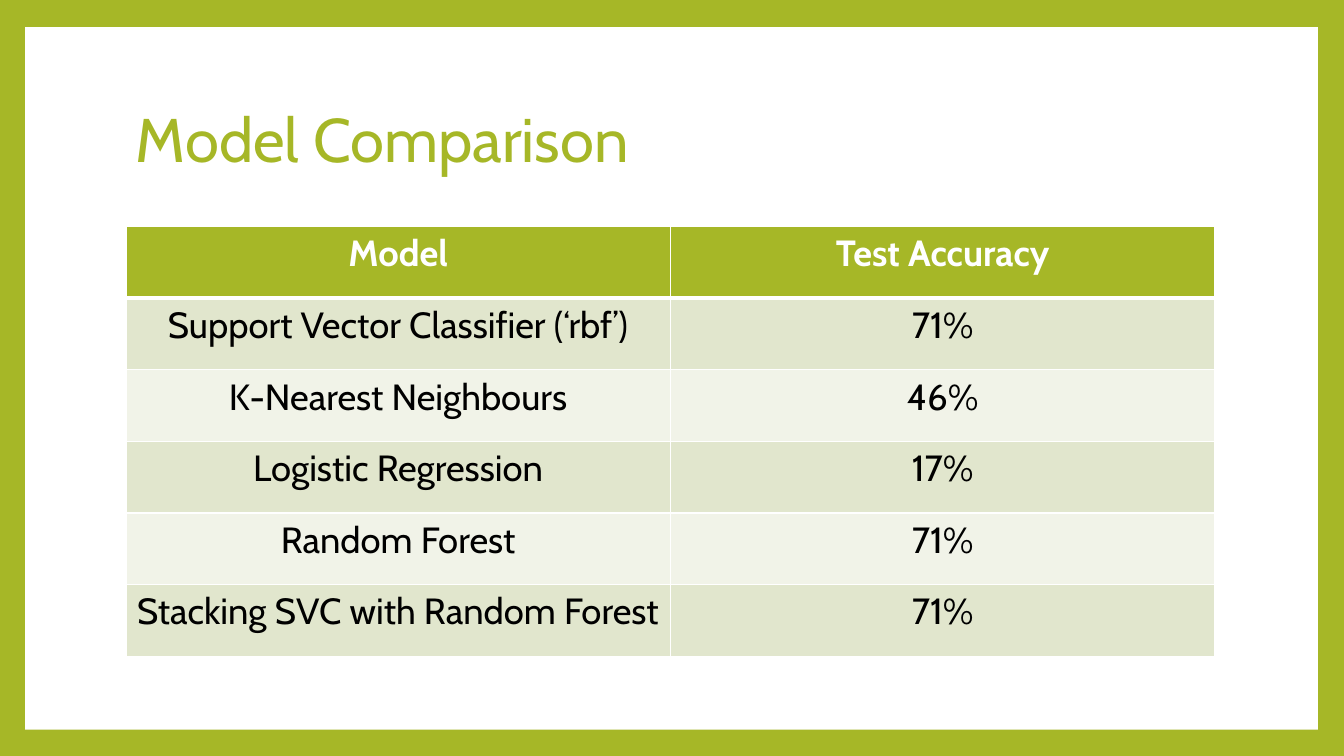
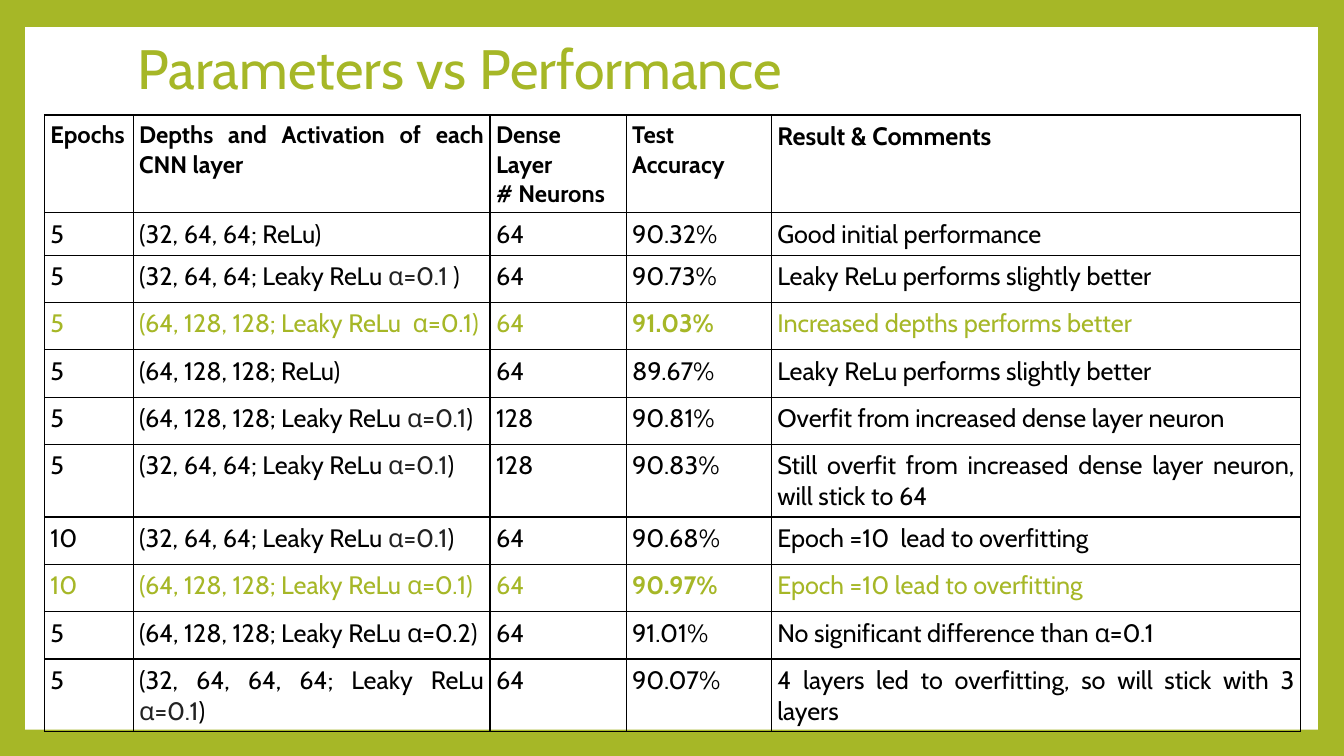
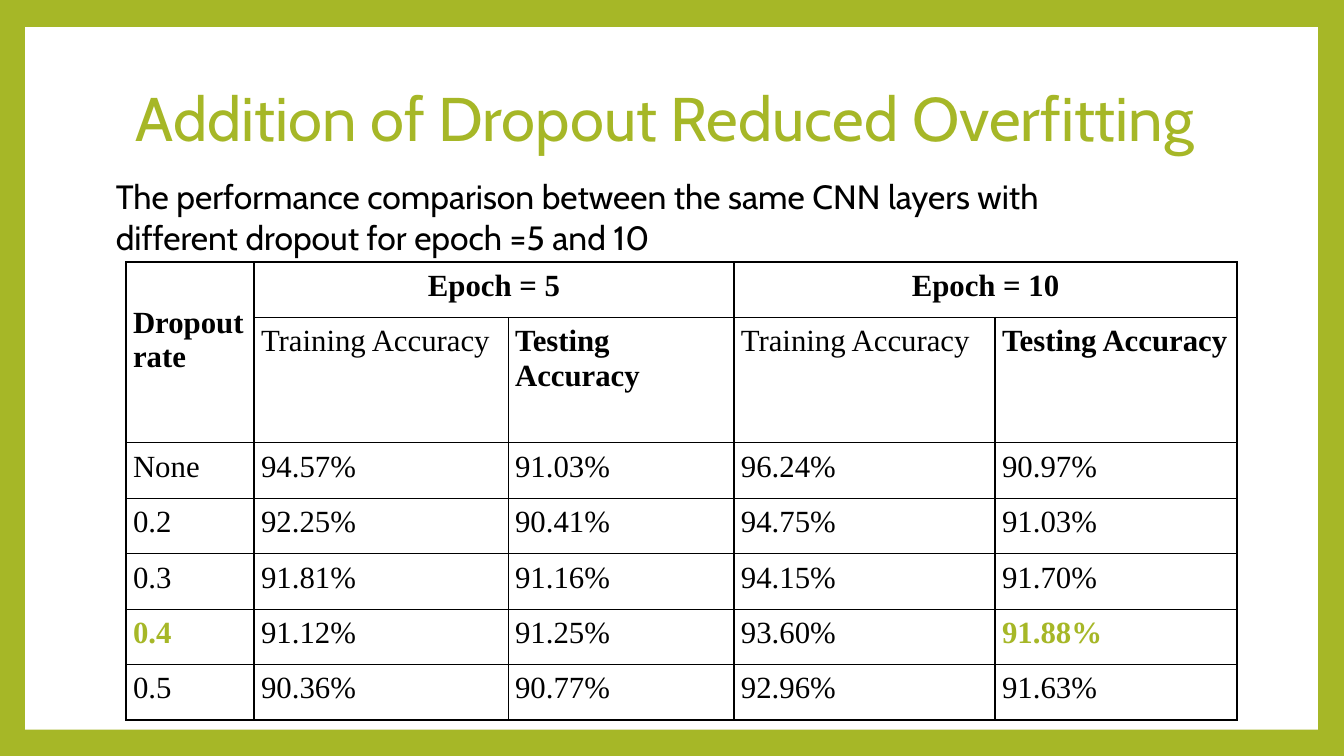
from dataclasses import dataclass

from lxml.etree import SubElement
from pptx import Presentation
from pptx.dml.color import RGBColor as Color
from pptx.enum.shapes import MSO_SHAPE as Shape
from pptx.enum.text import MSO_ANCHOR as Anchor, MSO_AUTO_SIZE as AutoSize, PP_ALIGN as Align
from pptx.oxml.ns import qn
from pptx.util import Inches, Pt


@dataclass(frozen=True)
class Theme:
    """Colours, fonts and type sizes of the presentation."""
    green: str = "A6B727"
    white: str = "FFFFFF"
    black: str = "000000"
    charcoal: str = "222222"
    band_dark: str = "E1E6CD"
    band_light: str = "F1F3E8"
    sans: str = "Cabin"
    serif: str = "Times New Roman"
    title: float = 44
    title_small: float = 39.6
    model: float = 26
    intro: float = 24
    dropout: float = 22
    parameter: float = 18
    parameter_header: float = 17


theme = Theme()


def write_text(frame, text, size, color=theme.black, font=theme.sans, bold=False,
               align=Align.LEFT, spacing=None, marked=theme.charcoal):
    """Write one paragraph per line; parts between bars get the marked colour."""
    frame.word_wrap = True
    for line_number, line in enumerate(text.split("\n")):
        paragraph = frame.paragraphs[0] if line_number == 0 else frame.add_paragraph()
        paragraph.alignment = align
        if spacing:
            paragraph.line_spacing = spacing
        for part_number, part in enumerate(line.split("|")):
            run = paragraph.add_run()
            run.text = part
            run.font.size = Pt(size)
            run.font.name = font
            run.font.bold = bold
            run.font.color.rgb = Color.from_string(marked if part_number % 2 else color)


def add_grid(slide, left, top, widths, heights, border, margin=None, header_line=1):
    """Add an unfilled table with ruled cells and return it."""
    table = slide.shapes.add_table(
        len(heights), len(widths), Inches(left), Inches(top),
        Inches(sum(widths)), Inches(sum(heights))).table
    table.first_row = table.horz_banding = False
    for column, width in zip(table.columns, widths):
        column.width = Inches(width)
    for row_number, (row, height) in enumerate(zip(table.rows, heights)):
        row.height = Inches(height)
        for cell in row.cells:
            if margin:
                cell.margin_left = cell.margin_right = Inches(margin)
                cell.margin_top = cell.margin_bottom = Inches(margin)
            properties = cell._tc.get_or_add_tcPr()
            for side in ("lnL", "lnR", "lnT", "lnB"):
                under_header = (row_number, side) in ((0, "lnB"), (1, "lnT"))
                weight = header_line if under_header else 1
                line = SubElement(properties, qn(f"a:{side}"), w=str(Pt(weight)))
                fill = SubElement(line, qn("a:solidFill"))
                SubElement(fill, qn("a:srgbClr"), val=border)
            cell.fill.background()
    return table


presentation = Presentation()
presentation.slide_width = Inches(13.33)
presentation.slide_height = Inches(7.5)

# Shared frame and titles
titles = [
    ("Model Comparison", (1.25, 0.67, 10.8, 1.48), theme.title),
    ("Parameters vs Performance", (1.27, 0.44, 10.8, 0.54), theme.title_small),
    ("Addition of Dropout Reduced Overfitting", (1.25, 0.47, 11.03, 1.48), theme.title),
]
slides = []
for title, bounds, size in titles:
    slide = presentation.slides.add_slide(presentation.slide_layouts[6])
    slide.background.fill.solid()
    slide.background.fill.fore_color.rgb = Color.from_string(theme.green)
    panel = slide.shapes.add_shape(
        Shape.RECTANGLE, Inches(0.25), Inches(0.27), Inches(12.82), Inches(6.97))
    panel.shadow.inherit = False
    panel.fill.solid()
    panel.fill.fore_color.rgb = Color.from_string(theme.white)
    panel.line.fill.background()
    title_box = slide.shapes.add_textbox(*(Inches(length) for length in bounds))
    title_box.text_frame.vertical_anchor = Anchor.MIDDLE
    write_text(title_box.text_frame, title, size, color=theme.green, spacing=0.9)
    slides.append(slide)
comparison_slide, parameter_slide, dropout_slide = slides

# Model comparison
models = [
    ("Model", "Test Accuracy"),
    ("Support Vector Classifier (‘rbf’)", "71%"),
    ("K-Nearest Neighbours", "46%"),
    ("Logistic Regression", "17%"),
    ("Random Forest", "71%"),
    ("Stacking SVC with Random Forest", "71%"),
]
table = add_grid(comparison_slide, 1.25, 2.25, [5.4] * 2, [0.71] * len(models),
                 theme.white, header_line=3)
for row_number, texts in enumerate(models):
    header = row_number == 0
    band = theme.band_dark if row_number % 2 else theme.band_light
    for column_number, text in enumerate(texts):
        cell = table.cell(row_number, column_number)
        cell.fill.solid()
        cell.fill.fore_color.rgb = Color.from_string(theme.green if header else band)
        write_text(cell.text_frame, text, theme.model, bold=header, align=Align.CENTER,
                   color=theme.white if header else theme.black)

# Parameters and performance
trials = [
    ("Epochs", "Depths and Activation of each CNN layer", "Dense Layer\n# Neurons",
     "Test Accuracy", "Result & Comments"),
    ("5", "(32, 64, 64; ReLu)", "64", "90.32%", "Good initial performance"),
    ("5", "(32, 64, 64; Leaky ReLu |α=0.1| )", "64", "90.73%",
     "Leaky ReLu performs slightly better"),
    ("5", "(64, 128, 128; Leaky ReLu\u00a0 α=0.1)", "64", "91.03%",
     "Increased depths performs better"),
    ("5", "(64, 128, 128; ReLu)", "64", "89.67%", "Leaky ReLu performs slightly better"),
    ("5", "(64, 128, 128; Leaky ReLu |α=0.1|)", "128", "90.81%",
     "Overfit from increased dense layer neuron"),
    ("5", "(32, 64, 64; Leaky ReLu |α=0.1|)", "128", "90.83%",
     "Still overfit from increased dense layer neuron, will stick to 64"),
    ("10", "(32, 64, 64; Leaky ReLu |α=0.1|)", "64", "90.68%",
     "Epoch =10\u00a0 lead to overfitting"),
    ("10", "(64, 128, 128; Leaky ReLu α=0.1)", "64", "90.97%",
     "Epoch =10 lead to overfitting"),
    ("5", "(64, 128, 128; Leaky ReLu α=0.2)", "64", "91.01%",
     "No significant difference than α=0.1"),
    ("5", "(32, 64, 64, 64; Leaky ReLu |α=0.1|)", "64", "90.07%",
     "4 layers led to overfitting, so will stick with 3 layers"),
]
best_trials = (3, 8)
accuracy_column, comment_column = 3, 4
table = add_grid(parameter_slide, 0.44, 1.14, [0.88, 3.54, 1.35, 1.44, 5.25],
                 [0.94, 0.39] + [0.47] * 4 + [0.67] + [0.47] * 3 + [0.55],
                 theme.black, margin=0.06)
for row_number, texts in enumerate(trials):
    header, best = row_number == 0, row_number in best_trials
    for column_number, text in enumerate(texts):
        small = header and column_number != comment_column
        write_text(table.cell(row_number, column_number).text_frame, text,
                   theme.parameter_header if small else theme.parameter,
                   color=theme.green if best else theme.black,
                   bold=header or (best and column_number == accuracy_column),
                   align=Align.JUSTIFY)

# Dropout
intro_box = dropout_slide.shapes.add_textbox(
    Inches(1.05), Inches(1.7), Inches(10.47), Inches(0.91))
intro_box.text_frame.auto_size = AutoSize.SHAPE_TO_FIT_TEXT
write_text(intro_box.text_frame,
           "The performance comparison between the same CNN layers with different "
           "dropout for epoch =5 and 10", theme.intro)

dropouts = [
    ("Dropout rate", "Epoch = 5", None, "Epoch = 10", None),
    (None,) + ("Training Accuracy", "Testing Accuracy") * 2,
    ("None", "94.57%", "91.03%", "96.24%", "90.97%"),
    ("0.2", "92.25%", "90.41%", "94.75%", "91.03%"),
    ("0.3", "91.81%", "91.16%", "94.15%", "91.70%"),
    ("0.4", "91.12%", "91.25%", "93.60%", "91.88%"),
    ("0.5", "90.36%", "90.77%", "92.96%", "91.63%"),
]
best_cells = ((5, 0), (5, 4))
table = add_grid(dropout_slide, 1.25, 2.6, [1.27, 2.52, 2.24, 2.59, 2.4],
                 [0.55, 1.24] + [0.55] * 5, theme.black, margin=0.07)
for start, end in (((0, 0), (1, 0)), ((0, 1), (0, 2)), ((0, 3), (0, 4))):
    table.cell(*start).merge(table.cell(*end))
table.cell(0, 0).margin_top = Inches(0.44)
for row_number, texts in enumerate(dropouts):
    for column_number, text in enumerate(texts):
        if text is None:
            continue
        best = (row_number, column_number) in best_cells
        epoch = row_number == 0 and column_number > 0
        write_text(table.cell(row_number, column_number).text_frame, text, theme.dropout,
                   font=theme.serif, color=theme.green if best else theme.black,
                   bold=best or row_number == 0 or text == "Testing Accuracy",
                   align=Align.CENTER if epoch else Align.JUSTIFY)

presentation.save("out.pptx")
